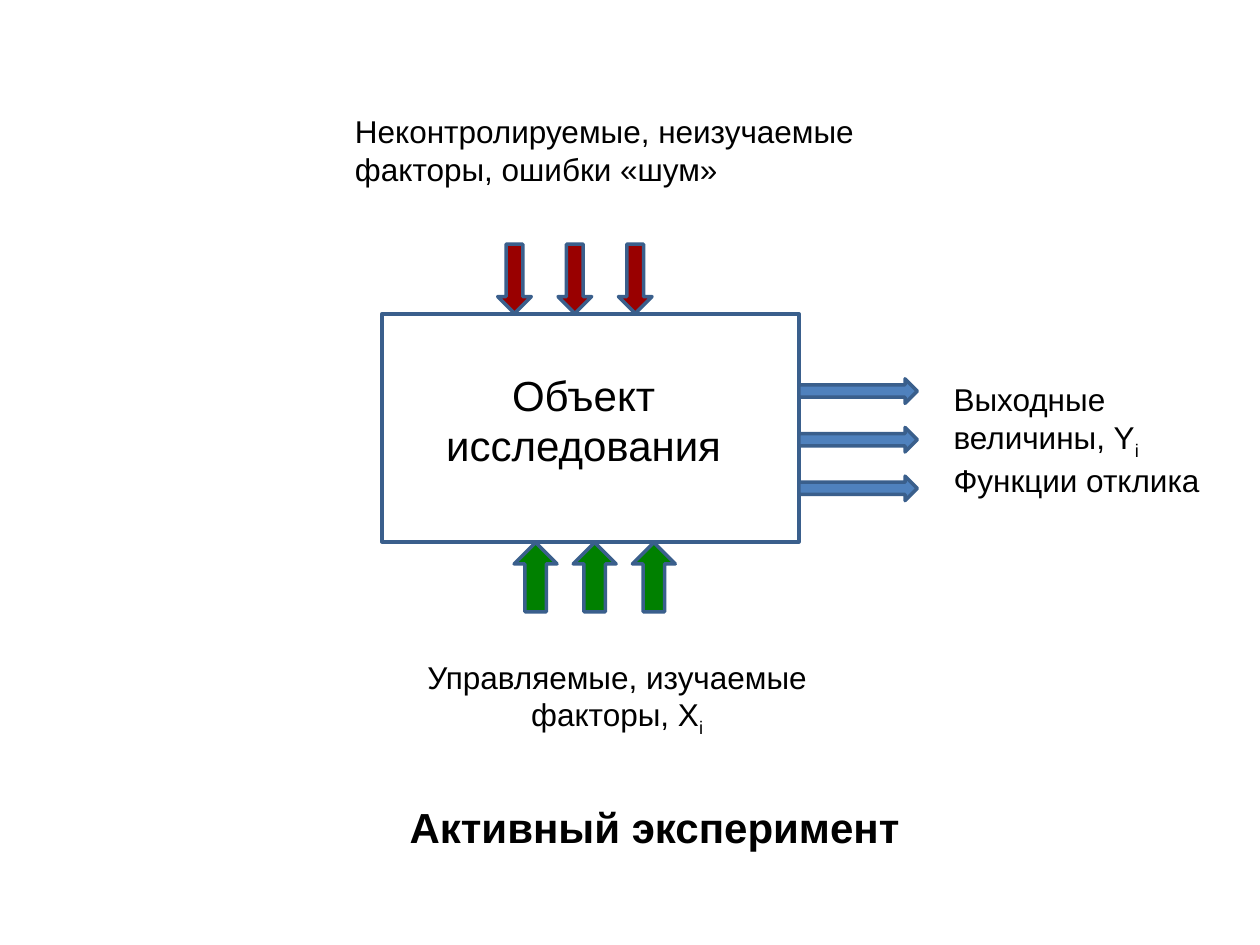
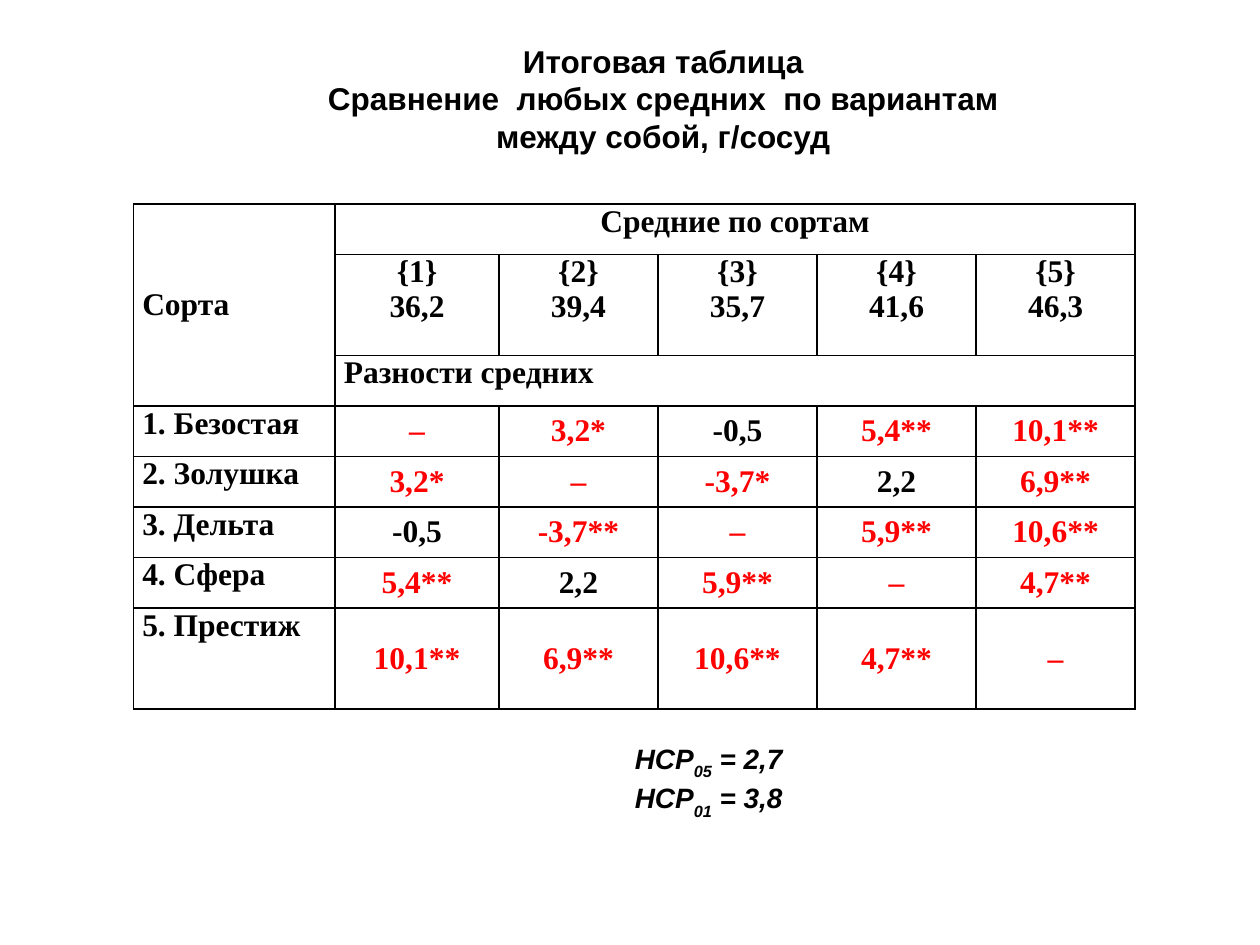
from dataclasses import dataclass

from lxml import etree
from pptx import Presentation
from pptx.dml.color import RGBColor
from pptx.enum.shapes import MSO_SHAPE
from pptx.enum.text import MSO_ANCHOR, PP_ALIGN
from pptx.oxml.ns import qn
from pptx.util import Pt

LEFT, CENTER, JUSTIFY = PP_ALIGN.LEFT, PP_ALIGN.CENTER, PP_ALIGN.JUSTIFY
TOP, MIDDLE, BOTTOM = MSO_ANCHOR.TOP, MSO_ANCHOR.MIDDLE, MSO_ANCHOR.BOTTOM
RECT, RIGHT_ARROW = MSO_SHAPE.RECTANGLE, MSO_SHAPE.RIGHT_ARROW
DOWN_ARROW, UP_ARROW = MSO_SHAPE.DOWN_ARROW, MSO_SHAPE.UP_ARROW


@dataclass(frozen=True)
class Theme:
    """Colours, fonts and type sizes of the presentation."""
    text: str = "000000"
    outline: str = "3A5F8C"
    output: str = "4F81BD"
    noise: str = "990000"
    control: str = "008000"
    significant: str = "FF0000"
    font: str = "Arial"
    table_font: str = "Times New Roman"
    heading: int = 24
    body: int = 18
    note: int = 16
    line: int = 2
    border: int = 1


THEME = Theme()

VARIETIES = ["1. Безостая", "2. Золушка", "3. Дельта", "4. Сфера", "5. Престиж"]
MEANS = ["36,2", "39,4", "35,7", "41,6", "46,3"]
DIFFERENCES = [
    ["–", "3,2*", "-0,5", "5,4**", "10,1**"],
    ["3,2*", "–", "-3,7*", "2,2", "6,9**"],
    ["-0,5", "-3,7**", "–", "5,9**", "10,6**"],
    ["5,4**", "2,2", "5,9**", "–", "4,7**"],
    ["10,1**", "6,9**", "10,6**", "4,7**", "–"],
]
ROW_HEIGHT = 28.87
ROW_UNITS = [1, 2, 1, 1, 1, 1, 1, 2]
COLUMN_WIDTHS = [115.2, 93.6] + [90.9] * 4


def rgb(color):
    """Return the colour object for a hex string."""
    return RGBColor.from_string(color)


def style_run(r, size, font=THEME.font, color=THEME.text, bold=False, italic=False):
    """Format one run."""
    r.font.name, r.font.size = font, Pt(size)
    r.font.bold, r.font.italic = bold, italic
    r.font.color.rgb = rgb(color)


def add_text(s, box, lines, size=THEME.body, align=LEFT, anchor=TOP,
             bold=False, italic=False, indent=0, subscript=-25):
    """Add a text box; parts of a line between bars are subscripts."""
    tf = s.shapes.add_textbox(*map(Pt, box)).text_frame
    tf.word_wrap = True
    tf.vertical_anchor = anchor
    for i, line in enumerate(lines):
        p = tf.add_paragraph() if i else tf.paragraphs[0]
        p.alignment = align
        if indent:
            p._p.get_or_add_pPr().set("indent", str(Pt(indent)))
        for j, part in enumerate(line.split("|")):
            if part:
                r = p.add_run()
                r.text = part
                style_run(r, size, bold=bold, italic=italic)
                if j % 2:
                    r.font._element.set("baseline", str(subscript * 1000))


def add_outlined(s, kind, box, fill=None):
    """Add an outlined preset shape, filled if a colour is given."""
    sp = s.shapes.add_shape(kind, *map(Pt, box))
    sp.shadow.inherit = False
    sp.line.color.rgb = rgb(THEME.outline)
    sp.line.width = Pt(THEME.line)
    if fill:
        sp.fill.solid()
        sp.fill.fore_color.rgb = rgb(fill)
    else:
        sp.fill.background()


def add_arrows(s, kind, box, fill, dx=0, dy=0):
    """Add three equal arrows at a fixed step."""
    x, y, w, h = box
    for i in range(3):
        add_outlined(s, kind, (x + i * dx, y + i * dy, w, h), fill)


def set_borders(cell):
    """Draw the four borders of a cell."""
    tc_pr = cell._tc.get_or_add_tcPr()
    for i, side in enumerate(("a:lnL", "a:lnR", "a:lnT", "a:lnB")):
        ln = etree.Element(qn(side), w=str(Pt(THEME.border)))
        fill = etree.SubElement(ln, qn("a:solidFill"))
        etree.SubElement(fill, qn("a:srgbClr"), val=THEME.text)
        tc_pr.insert(i, ln)


def fill_cell(cell, text, align=CENTER, anchor=TOP, color=THEME.text):
    """Write and format the text of a table cell."""
    cell.text_frame.text = text
    cell.vertical_anchor = anchor
    for p in cell.text_frame.paragraphs:
        p.alignment = align
        for r in p.runs:
            style_run(r, THEME.body, THEME.table_font, color, bold=True)


def add_differences_table(s, x, y):
    """Add the table of differences between variety means."""
    table = s.shapes.add_table(
        len(ROW_UNITS), len(COLUMN_WIDTHS), Pt(x), Pt(y),
        Pt(sum(COLUMN_WIDTHS)), Pt(ROW_HEIGHT * sum(ROW_UNITS))).table
    table.first_row = table.horz_banding = False
    for column, width in zip(table.columns, COLUMN_WIDTHS):
        column.width = Pt(width)
    for row, units in zip(table.rows, ROW_UNITS):
        row.height = Pt(ROW_HEIGHT * units)
    for cell in table.iter_cells():
        cell.margin_left = cell.margin_right = Pt(5)
        cell.margin_top = cell.margin_bottom = 0
        cell.fill.background()
        set_borders(cell)

    table.cell(0, 0).merge(table.cell(2, 0))
    table.cell(0, 1).merge(table.cell(0, 5))
    table.cell(2, 1).merge(table.cell(2, 5))
    fill_cell(table.cell(0, 0), "Сорта", LEFT, MIDDLE)
    fill_cell(table.cell(0, 1), "Средние по сортам")
    fill_cell(table.cell(2, 1), "Разности средних", LEFT)
    for j, mean in enumerate(MEANS, 1):
        fill_cell(table.cell(1, j), f"{{{j}}}\n{mean}")
    for i, (variety, values) in enumerate(zip(VARIETIES, DIFFERENCES), 3):
        fill_cell(table.cell(i, 0), variety, LEFT)
        for j, value in enumerate(values, 1):
            marked = value == "–" or value.endswith("*")
            color = THEME.significant if marked else THEME.text
            fill_cell(table.cell(i, j), value, CENTER, MIDDLE, color)


def build_experiment(s):
    """Build the diagram of an active experiment."""
    add_outlined(s, RECT, (218.2, 179.3, 238.3, 130.3))
    add_text(s, (243.5, 207.4, 180, 65.5), ["Объект", "исследования"],
             THEME.heading, CENTER)
    add_arrows(s, RIGHT_ARROW, (456.5, 216.5, 67.7, 14), THEME.output, dy=27.8)
    add_arrows(s, DOWN_ARROW, (284.4, 139.5, 19.2, 39.6), THEME.noise, dx=34.5)
    add_arrows(s, UP_ARROW, (293.8, 310, 24.5, 39.6), THEME.control, dx=33.8)
    add_text(s, (233.5, 372.2, 238.3, 51),
             ["Управляемые, изучаемые", "факторы, Х|i|"], align=CENTER)
    add_text(s, (537.8, 213.8, 157, 72.7),
             ["Выходные", "величины, Y|i|", "Функции отклика"])
    add_text(s, (195.8, 60.5, 302.4, 51),
             ["Неконтролируемые, неизучаемые", "факторы, ошибки «шум»"])
    add_text(s, (227, 454.3, 338.4, 36.7), ["Активный эксперимент"],
             THEME.heading, bold=True)


def build_comparison(s):
    """Build the summary table of means."""
    add_differences_table(s, 76.3, 116.6)
    add_text(s, (104, 20.2, 550, 72.7),
             ["Итоговая таблица", "Сравнение  любых средних  по вариантам",
              "между собой, г/сосуд"], align=CENTER, bold=True)
    add_text(s, (320.4, 375.1, 136.8, 97.2), ["НСР|05| = 2,7", "НСР|01| = 3,8"],
             THEME.note, JUSTIFY, BOTTOM, bold=True, italic=True,
             indent=35.3, subscript=-30)


def main():
    """Build and save the presentation."""
    prs = Presentation()
    prs.slide_width, prs.slide_height = Pt(720), Pt(540)
    for build in (build_experiment, build_comparison):
        build(prs.slides.add_slide(prs.slide_layouts[6]))
    prs.save("out.pptx")


if __name__ == "__main__":
    main()
